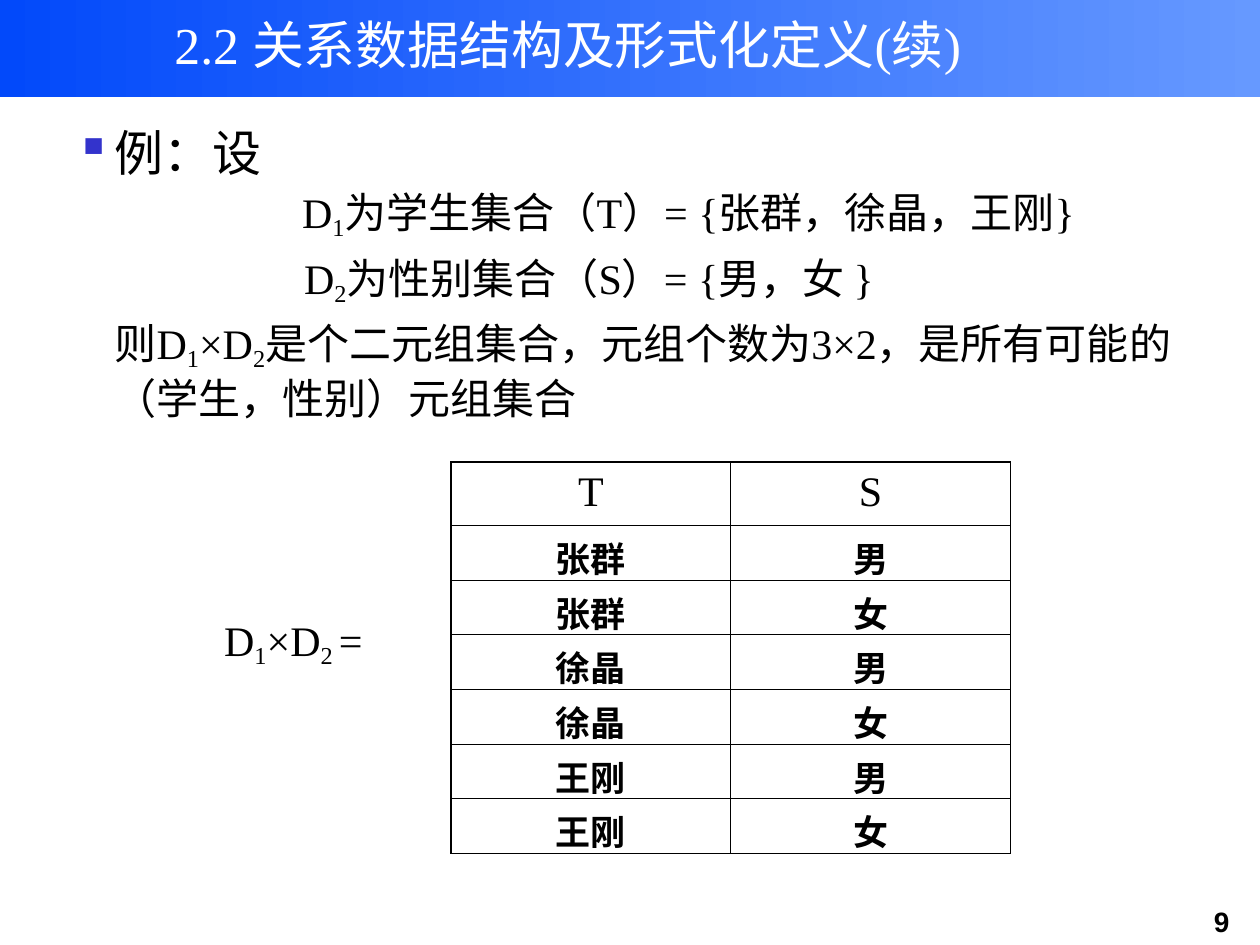
"""Build a slide on the Cartesian product of two domains, with its table."""
from lxml.etree import SubElement
from pptx import Presentation
from pptx.dml.color import RGBColor
from pptx.enum.shapes import MSO_SHAPE
from pptx.enum.text import MSO_ANCHOR, PP_ALIGN
from pptx.oxml import parse_xml
from pptx.oxml.ns import nsdecls, qn
from pptx.util import Cm, Pt

COLORS = {"ink": "000000", "paper": "FFFFFF", "dark": "0249FA",
          "light": "6699FF", "mark": "3333CC"}
SERIF, SANS = "Times New Roman", "Arial"
TITLE = "2.2 关系数据结构及形式化定义(续)"
BODY = [
    {"runs": [("例：设", 0)], "size": 28, "left": 2.06, "gap": 0, "mark": "▪"},
    {"runs": [("D", 0), ("1", -20), ("为学生集合（T）= {张群，徐晶，王刚}", 0)],
     "size": 24, "left": 5.84, "gap": 3},
    {"runs": [("D", 0), ("2", -20), ("为性别集合（S）= {男，女 }", 0)],
     "size": 24, "left": 5.88, "gap": 6},
    {"runs": [("则D", 0), ("1", -18), ("×D", 0), ("2", -18),
              ("是个二元组集合，元组个数为3×2，是所有可能的（学生，性别）元组集合", 0)],
     "size": 24, "left": 2.06, "gap": 6},
]
LABEL = [("D", 0), ("1", -18), ("×D", 0), ("2 ", -18), ("=", 0)]
HEAD = ("T", "S")
NAMES, SEXES = ("张群", "徐晶", "王刚"), ("男", "女")
ROWS = [HEAD] + [(name, sex) for name in NAMES for sex in SEXES]
THIN, THICK = Pt(0.45), Pt(1.08)


def tint(key):
    return RGBColor.from_string(COLORS[key])


def write(para, runs, size, color="ink", font=SERIF, bold=False, align=PP_ALIGN.LEFT):
    para.alignment = align
    for text, base in runs:
        run = para.add_run()
        run.text = text
        run.font.size, run.font.name, run.font.bold = Pt(size), font, bold
        run.font.color.rgb = tint(color)
        if base:
            run.font._element.set("baseline", str(base * 1000))


def add_box(slide, left, top, width, height, wrap=True):
    box = slide.shapes.add_textbox(Cm(left), Cm(top), Cm(width), Cm(height))
    box.text_frame.word_wrap = wrap
    return box.text_frame


def indent(para, left, mark=None):
    props = para._p.get_or_add_pPr()
    props.set("marL", str(Cm(left)))
    props.set("indent", str(Cm(-0.79) if mark else 0))
    if mark:
        color = SubElement(props, qn("a:buClr"))
        SubElement(color, qn("a:srgbClr"), val=COLORS["mark"])
        SubElement(props, qn("a:buChar"), char=mark)
    else:
        SubElement(props, qn("a:buNone"))


def edge(cell, sides):
    props = cell._tc.get_or_add_tcPr()
    for spot, (side, width) in enumerate(sides.items()):
        props.insert(spot, parse_xml(
            f'<a:ln{side} {nsdecls("a")} w="{width}"><a:solidFill>'
            f'<a:srgbClr val="{COLORS["ink"]}"/></a:solidFill></a:ln{side}>'))


def add_grid(slide):
    count, span = len(ROWS), len(HEAD)
    frame = slide.shapes.add_table(count, span, Cm(9.09), Cm(9.32), Cm(11.28), Cm(7.87))
    table = frame.table
    for row, texts in enumerate(ROWS):
        table.rows[row].height = Cm(1.1 if row else 1.27)
        for col, text in enumerate(texts):
            cell = table.cell(row, col)
            cell.fill.background()
            edge(cell, {"L": THIN if col else THICK,
                        "R": THICK if col == span - 1 else THIN,
                        "T": THIN if row else THICK,
                        "B": THICK if row == count - 1 else THIN})
            write(cell.text_frame.paragraphs[0], [(text, 0)], 20 if row else 24,
                  bold=row > 0, align=PP_ALIGN.CENTER)


def main():
    deck = Presentation()
    deck.slide_width, deck.slide_height = Cm(25.4), Cm(19.05)
    slide = deck.slides.add_slide(deck.slide_layouts[6])

    band = slide.shapes.add_shape(MSO_SHAPE.RECTANGLE, 0, 0, deck.slide_width, Cm(1.96))
    band.shadow.inherit = False
    band.line.fill.background()
    band.fill.gradient()
    band.fill.gradient_angle = 0
    for stop, key in zip(band.fill.gradient_stops, ("dark", "light")):
        stop.color.rgb = tint(key)
        stop.position = float(key == "light")

    page = add_box(slide, 23.85, 18.11, 1.55, 0.94)
    write(page.paragraphs[0], [("9", 0)], 16, font=SANS, bold=True, align=PP_ALIGN.CENTER)

    title = add_box(slide, 2.34, 0.03, 18.21, 1.7)
    title.vertical_anchor = MSO_ANCHOR.MIDDLE
    write(title.paragraphs[0], [(TITLE, 0)], 29.6, "paper", align=PP_ALIGN.CENTER)

    body = add_box(slide, 0, 2.34, 23.93, 6.55)
    for spot, item in enumerate(BODY):
        para = body.add_paragraph() if spot else body.paragraphs[0]
        indent(para, item["left"], item.get("mark"))
        if item["gap"]:
            para.space_before = Pt(item["gap"])
        write(para, item["runs"], item["size"])

    add_grid(slide)
    label = add_box(slide, 4.27, 12.27, 3.51, 1.35, wrap=False)
    write(label.paragraphs[0], LABEL, 24)
    deck.save("out.pptx")


if __name__ == "__main__":
    main()
